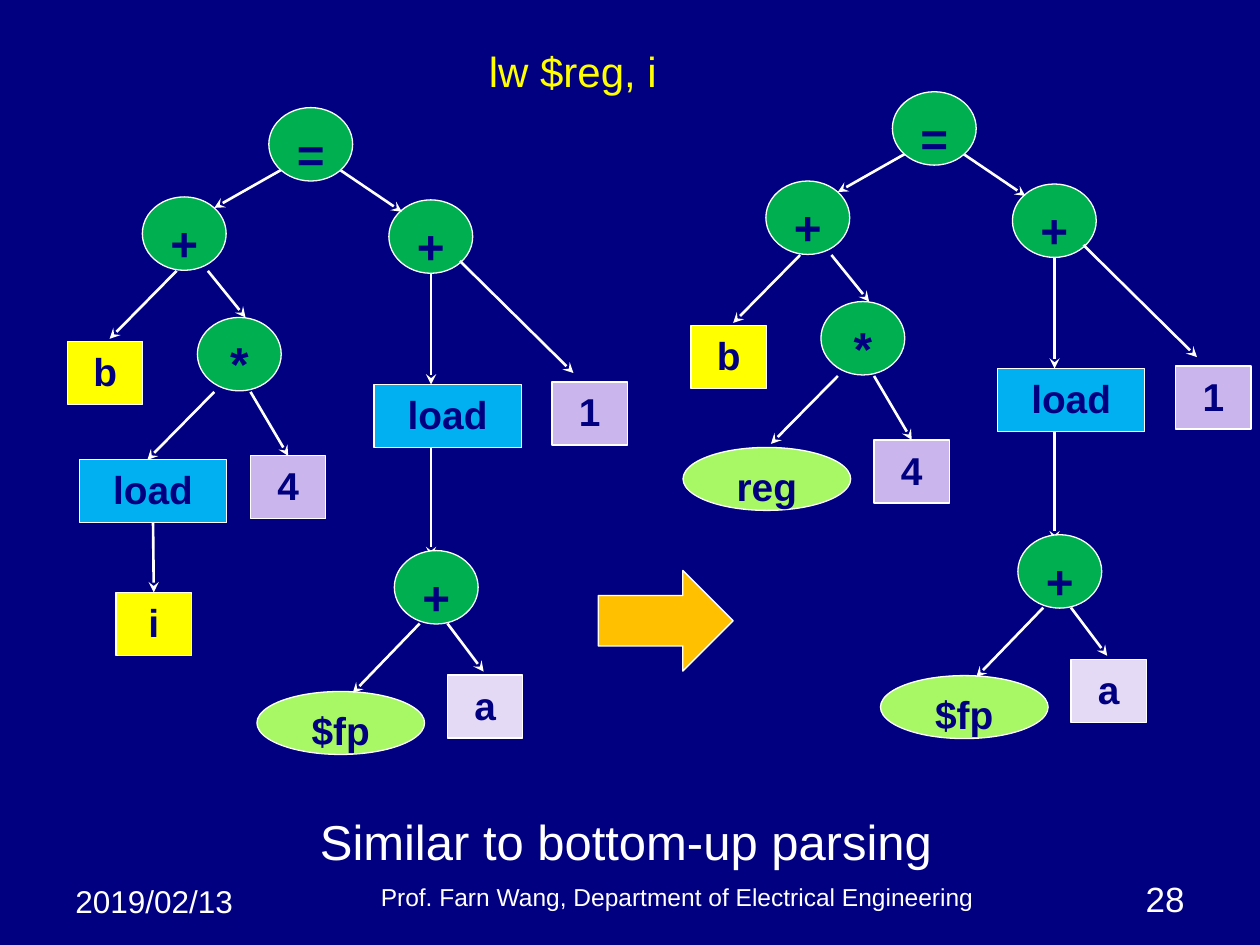
"""Build a slide showing how a tree pattern for lw $reg, i is reduced."""
from lxml import etree
from pptx import Presentation
from pptx.dml.color import RGBColor
from pptx.enum.shapes import MSO_CONNECTOR, MSO_SHAPE
from pptx.enum.text import MSO_ANCHOR, MSO_AUTO_SIZE, PP_ALIGN
from pptx.oxml.ns import qn
from pptx.util import Cm, Pt

OVAL, RECT, ARROW = MSO_SHAPE.OVAL, MSO_SHAPE.RECTANGLE, MSO_SHAPE.RIGHT_ARROW
STRAIGHT = MSO_CONNECTOR.STRAIGHT
LEFT, CENTER, RIGHT = PP_ALIGN.LEFT, PP_ALIGN.CENTER, PP_ALIGN.RIGHT
TOP, BOTTOM = MSO_ANCHOR.TOP, MSO_ANCHOR.BOTTOM

NAVY = RGBColor(0x00, 0x00, 0x80)
WHITE = RGBColor(0xFF, 0xFF, 0xFF)
YELLOW = RGBColor(0xFF, 0xFF, 0x00)
GREEN = RGBColor(0x00, 0xB0, 0x50)
LIME = RGBColor(0xA7, 0xF8, 0x64)
BLUE = RGBColor(0x00, 0xB0, 0xF0)
PURPLE = RGBColor(0xCA, 0xB5, 0xEC)
LILAC = RGBColor(0xE5, 0xDA, 0xF6)
ORANGE = RGBColor(0xFF, 0xC0, 0x00)

STYLES = {
    "operator": (OVAL, 1.69, 1.48, GREEN, 27.2),
    "register": (OVAL, 3.38, 1.27, LIME, 22.2),
    "load": (RECT, 2.97, 1.27, BLUE, 22.2),
    "variable": (RECT, 1.52, 1.27, YELLOW, 22.2),
    "constant": (RECT, 1.52, 1.27, PURPLE, 22.2),
    "address": (RECT, 1.52, 1.27, LILAC, 22.2),
}
NODES = [
    ("operator", "=", 5.42, 2.17),
    ("operator", "+", 2.87, 3.97),
    ("operator", "+", 7.84, 4.03),
    ("operator", "*", 3.98, 6.4),
    ("variable", "b", 1.36, 6.88),
    ("load", "load", 7.54, 7.75),
    ("constant", "1", 11.13, 7.7),
    ("register", "$fp", 5.18, 13.94),
    ("address", "a", 9.02, 13.61),
]
EDGES = [
    (5.66, 3.43, 4.32, 4.19),
    (6.86, 3.43, 8.1, 4.27),
    (4.19, 5.46, 4.95, 6.4),
    (3.56, 5.46, 2.21, 6.83),
    (4.32, 7.9, 2.97, 9.27),
    (8.69, 5.51, 8.69, 7.75),
    (8.69, 9.02, 8.69, 11.23),
    (8.46, 12.57, 7.11, 13.97),
    (9.02, 12.57, 9.75, 13.54),
    (9.27, 5.26, 11.56, 7.52),
]
TREES = [(0, 0), (12.57, -0.32)]

prs = Presentation()
prs.slide_width, prs.slide_height = Cm(25.4), Cm(19.05)
s = prs.slides.add_slide(prs.slide_layouts[5])
s.background.fill.solid()
s.background.fill.fore_color.rgb = NAVY


def add_node(kind, text, x, y):
    shape, w, h, color, size = STYLES[kind]
    sp = s.shapes.add_shape(shape, Cm(x), Cm(y), Cm(w), Cm(h))
    sp.shadow.inherit = False
    sp.fill.solid()
    sp.fill.fore_color.rgb = color
    sp.line.color.rgb = WHITE
    sp.line.width = Pt(0.75)
    sp.text_frame.vertical_anchor = TOP
    p = sp.text_frame.paragraphs[0]
    p.text = text
    p.alignment = CENTER
    p.font.name, p.font.size, p.font.bold = "Arial", Pt(size), True
    p.font.color.rgb = NAVY
    return sp


def add_edge(x1, y1, x2, y2):
    cn = s.shapes.add_connector(STRAIGHT, Cm(x1), Cm(y1), Cm(x2), Cm(y2))
    cn.line.color.rgb = WHITE
    cn.line.width = Pt(1.5)
    etree.SubElement(cn.line._get_or_add_ln(), qn("a:tailEnd"), type="stealth")
    etree.SubElement(cn._element.spPr, qn("a:effectLst"))
    return cn


for dx, dy in TREES:
    for kind, text, x, y in NODES:
        add_node(kind, text, x + dx, y + dy)
    four = add_node("constant", "4", 5.05 + dx, 9.19 + dy)
    for x1, y1, x2, y2 in EDGES:
        add_edge(x1 + dx, y1 + dy, x2 + dx, y2 + dy)
    add_edge(5.05 + dx, 7.9 + dy, 5.82 + dx, 9.19 + dy).end_connect(four, 0)
    add_node("operator", "+", 7.95 + dx, 11.1 + dy)

load = add_node("load", "load", 1.6, 9.27)
index = add_node("variable", "i", 2.34, 11.94)
cn = add_edge(3.09, 10.54, 3.1, 11.94)
cn.begin_connect(load, 2)
cn.end_connect(index, 0)
add_node("register", "reg", 13.77, 9.02)

sp = s.shapes.add_shape(ARROW, Cm(12.06), Cm(11.5), Cm(2.72), Cm(2.03))
sp.shadow.inherit = False
sp.fill.solid()
sp.fill.fore_color.rgb = ORANGE
sp.line.color.rgb = WHITE
sp.line.width = Pt(0.75)

title = s.shapes.title
title.left, title.top, title.width, title.height = Cm(9.6), Cm(0.79), Cm(4.11), Cm(1.27)
caption = s.shapes.add_textbox(Cm(6.2), Cm(16.23), Cm(12.83), Cm(1.45))
date = s.shapes.add_textbox(Cm(1.27), Cm(17.65), Cm(4.01), Cm(1.02))
footer = s.shapes.add_textbox(Cm(5.08), Cm(17.65), Cm(17.15), Cm(0.84))
number = s.shapes.add_textbox(Cm(18.21), Cm(17.35), Cm(5.92), Cm(1.32))
TEXTS = [
    (title, "lw $reg, i", 24, YELLOW, LEFT, TOP, False),
    (caption, "Similar to bottom-up parsing", 28, WHITE, LEFT, TOP, False),
    (date, "2019/02/13", 18, WHITE, LEFT, TOP, True),
    (footer, "Prof. Farn Wang, Department of Electrical Engineering", 14, WHITE, CENTER, BOTTOM, True),
    (number, "28", 20, WHITE, RIGHT, BOTTOM, True),
]
for sp, text, size, color, align, anchor, wrap in TEXTS:
    tf = sp.text_frame
    tf.word_wrap = wrap
    tf.auto_size = MSO_AUTO_SIZE.NONE
    tf.vertical_anchor = anchor
    p = tf.paragraphs[0]
    p.text = text
    p.alignment = align
    p.font.name, p.font.size = "Arial", Pt(size)
    p.font.color.rgb = color

prs.save("out.pptx")
